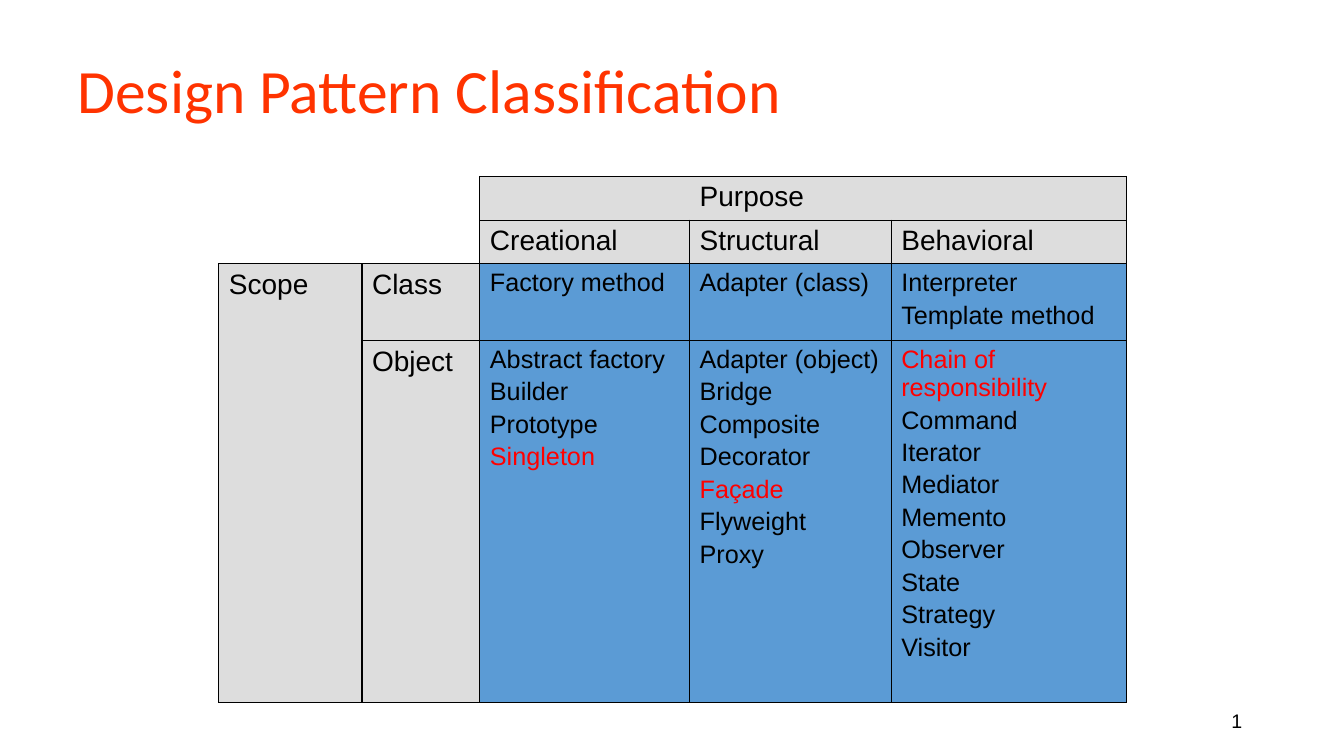
from dataclasses import dataclass

from lxml.etree import SubElement
from pptx import Presentation
from pptx.dml.color import RGBColor
from pptx.enum.text import MSO_ANCHOR, PP_ALIGN
from pptx.oxml.ns import qn
from pptx.util import Inches, Pt


@dataclass(frozen=True)
class Theme:
    """Colours, fonts and type sizes of the slide."""
    title: str = "FF3300"
    text: str = "000000"
    accent: str = "FF0000"
    header: str = "DDDDDD"
    body: str = "5B9BD5"
    line: str = "000000"
    title_font: str = "Calibri"
    body_font: str = "Arial"
    title_size: int = 44
    header_size: int = 20
    pattern_size: int = 18
    number_size: int = 14


THEME = Theme()

COLUMNS = [1.42, 1.17, 2.08, 2, 2.33]
ROWS = [0.43, 0.43, 0.76, 3.58]
LABELS = {(0, 3): "Purpose", (1, 2): "Creational", (1, 3): "Structural",
          (1, 4): "Behavioral", (2, 0): "Scope", (2, 1): "Class", (3, 1): "Object"}
PATTERNS = {
    (2, 2): ["Factory method"],
    (2, 3): ["Adapter (class)"],
    (2, 4): ["Interpreter", "Template method"],
    (3, 2): ["Abstract factory", "Builder", "Prototype", "Singleton"],
    (3, 3): ["Adapter (object)", "Bridge", "Composite", "Decorator", "Façade",
             "Flyweight", "Proxy"],
    (3, 4): ["Chain of responsibility", "Command", "Iterator", "Mediator", "Memento",
             "Observer", "State", "Strategy", "Visitor"],
}
HIGHLIGHTED = {"Singleton", "Façade", "Chain of responsibility"}
# Neighbouring cells with the same letter have no line between them; "." is blank.
REGIONS = ["..ppp",
           "..abc",
           "sdefg",
           "shijk"]


def style(p, font, size, color):
    """Set the font of a whole paragraph."""
    p.font.name = font
    p.font.size = Pt(size)
    p.font.color.rgb = RGBColor.from_string(color)


def add_line_of_text(s, box, text, font, size, color, align=PP_ALIGN.LEFT):
    """Add one vertically centred line of text in the box and return its paragraph."""
    tf = s.shapes.add_textbox(*map(Inches, box)).text_frame
    tf.word_wrap = True
    tf.vertical_anchor = MSO_ANCHOR.MIDDLE
    p = tf.paragraphs[0]
    p.text = text
    p.alignment = align
    style(p, font, size, color)
    return p


def add_title(s, box, text):
    """Add the slide title."""
    p = add_line_of_text(s, box, text, THEME.title_font, THEME.title_size, THEME.title)
    p.line_spacing = 0.9


def add_slide_number(s, box, number):
    """Add the slide number at the right of its box."""
    add_line_of_text(s, box, str(number), THEME.body_font, THEME.number_size,
                     THEME.text, PP_ALIGN.RIGHT)


def region_at(row, col):
    """Return the region letter of a cell, blank outside the table."""
    inside = 0 <= row < len(ROWS) and 0 <= col < len(COLUMNS)
    return REGIONS[row][col] if inside else "."


def set_borders(cell, row, col):
    """Draw the cell edges that separate two regions."""
    neighbours = {"a:lnL": (row, col - 1), "a:lnR": (row, col + 1),
                  "a:lnT": (row - 1, col), "a:lnB": (row + 1, col)}
    tcPr = cell._tc.get_or_add_tcPr()
    for i, (tag, place) in enumerate(neighbours.items()):
        ln = SubElement(tcPr, qn(tag), w=str(Pt(1)))
        if region_at(row, col) == region_at(*place):
            SubElement(ln, qn("a:noFill"))
        else:
            fill = SubElement(ln, qn("a:solidFill"))
            SubElement(fill, qn("a:srgbClr"), val=THEME.line)
        tcPr.insert(i, ln)


def fill_cell(cell, row, col):
    """Set the background, text and borders of one cell."""
    patterns = PATTERNS.get((row, col))
    if region_at(row, col) == ".":
        cell.fill.background()
    else:
        cell.fill.solid()
        color = THEME.body if patterns else THEME.header
        cell.fill.fore_color.rgb = RGBColor.from_string(color)
    lines = patterns or [LABELS.get((row, col), "")]
    size = THEME.pattern_size if patterns else THEME.header_size
    tf = cell.text_frame
    for i, line in enumerate(lines):
        p = tf.add_paragraph() if i else tf.paragraphs[0]
        p.text = line
        p.space_before = Pt(3 if i else 0)
        style(p, THEME.body_font, size,
              THEME.accent if line in HIGHLIGHTED else THEME.text)
    set_borders(cell, row, col)


def add_classification(s, box):
    """Add the table of patterns by scope and purpose, scaled to the box."""
    left, top, width, height = box
    table = s.shapes.add_table(len(ROWS), len(COLUMNS), *map(Inches, box)).table
    table.first_row = table.horz_banding = False
    for column, share in zip(table.columns, COLUMNS):
        column.width = Inches(width * share / sum(COLUMNS))
    for r, (table_row, share) in enumerate(zip(table.rows, ROWS)):
        table_row.height = Inches(height * share / sum(ROWS))
        for c, cell in enumerate(table_row.cells):
            fill_cell(cell, r, c)


def main():
    """Build and save the slide."""
    prs = Presentation()
    prs.slide_width, prs.slide_height = Inches(13.33), Inches(7.5)
    s = prs.slides.add_slide(prs.slide_layouts[6])
    add_slide_number(s, (9.42, 6.95, 3, 0.4), 1)
    add_title(s, (0.67, 0.3, 12, 1.25), "Design Pattern Classification")
    add_classification(s, (2.17, 1.75, 9, 5.21))
    prs.save("out.pptx")


main()
